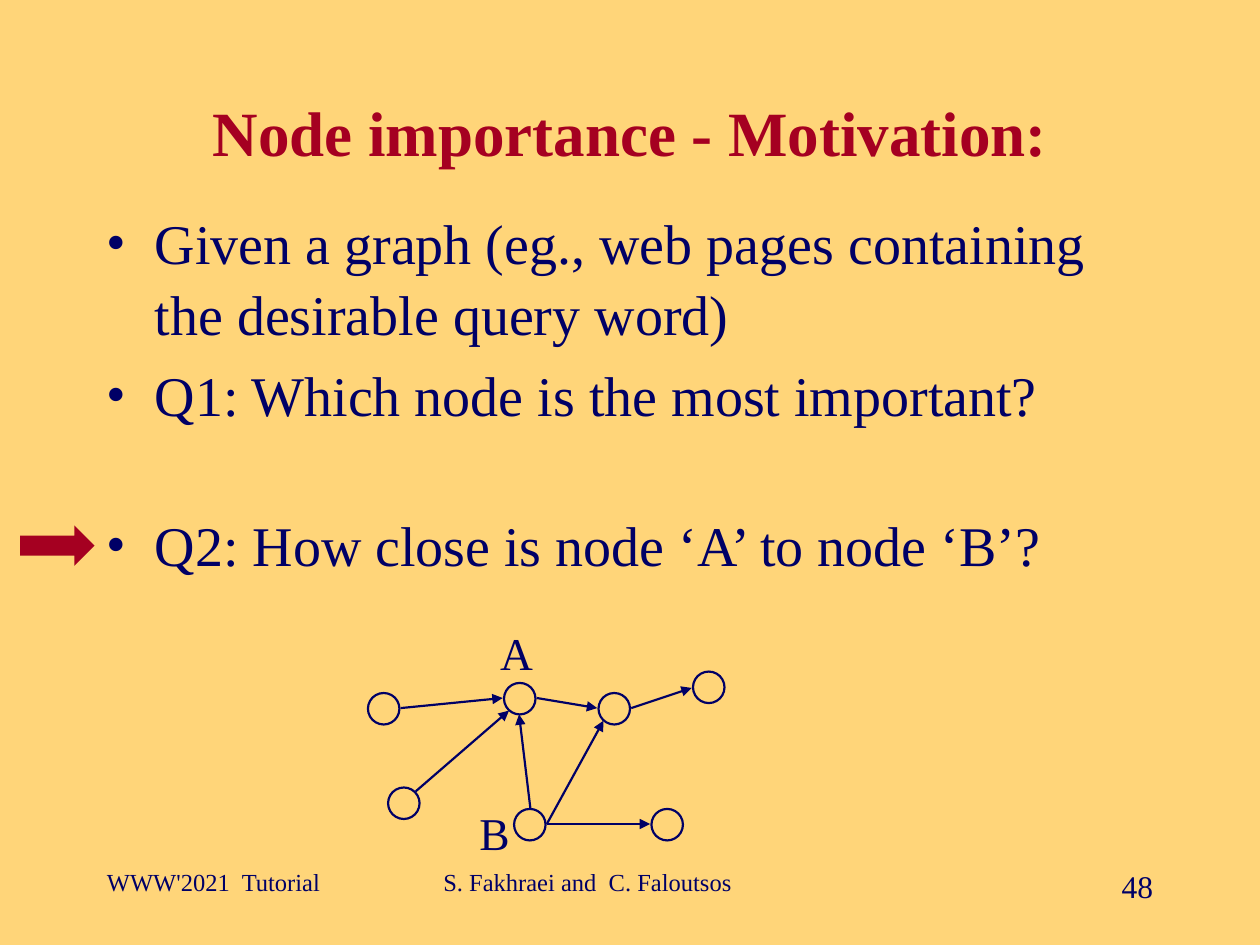
from typing import NamedTuple

from lxml.etree import SubElement
from pptx import Presentation
from pptx.dml.color import RGBColor
from pptx.enum.shapes import MSO_CONNECTOR, MSO_SHAPE
from pptx.enum.text import MSO_ANCHOR, PP_ALIGN
from pptx.oxml.ns import qn
from pptx.util import Inches, Pt

NAVY = RGBColor(0x00, 0x00, 0x66)
CRIMSON = RGBColor(0xA5, 0x00, 0x21)
SAND = RGBColor(0xFF, 0xD5, 0x79)
FONT = "Times New Roman"
NODE_SIZE = 0.25
LINE_WIDTH = Pt(1.25)


class Label(NamedTuple):
    text: str
    left: float
    top: float
    width: float
    height: float
    size: int
    align: PP_ALIGN = PP_ALIGN.LEFT
    wrap: bool = True


class Bullet(NamedTuple):
    text: str
    space_before: float


class Edge(NamedTuple):
    x1: float
    y1: float
    x2: float
    y2: float


LABELS = [
    Label("WWW'2021  Tutorial", 0.75, 6.83, 2.08, 0.5, 14),
    Label("S. Fakhraei and  C. Faloutsos", 3.42, 6.83, 3.17, 0.5, 14),
    Label("48", 7.17, 6.83, 2.08, 0.5, 18, PP_ALIGN.RIGHT),
    Label("A", 3.87, 4.91, 0.46, 0.54, 26, PP_ALIGN.CENTER, False),
    Label("B", 3.7, 6.34, 0.45, 0.54, 26, PP_ALIGN.CENTER, False),
]
BULLETS = [
    Bullet("Given a graph (eg., web pages containing the desirable query word)", 0),
    Bullet("Q1: Which node is the most important?", 6.4),
    Bullet("Q2: How close is node ‘A’ to node ‘B’?", 45.4),
]
NODES = [(3.08, 6.25), (4.75, 5.5), (4, 5.42), (5.17, 6.42),
         (5.5, 5.33), (4.08, 6.42), (2.92, 5.5)]
EDGES = [
    Edge(4.26, 5.54, 4.74, 5.62),
    Edge(4.34, 6.54, 4.79, 5.72),
    Edge(4.34, 6.54, 5.16, 6.54),
    Edge(5.01, 5.62, 5.49, 5.46),
    Edge(3.18, 5.62, 3.99, 5.54),
    Edge(3.3, 6.28, 4.04, 5.64),
    Edge(4.21, 6.42, 4.12, 5.67),
]


def format_font(font, size: int, color: RGBColor = NAVY, bold: bool = False) -> None:
    for name, value in {"name": FONT, "size": Pt(size), "bold": bold}.items():
        setattr(font, name, value)
    font.color.rgb = color


def add_title(slide, text: str) -> None:
    title = slide.shapes.title
    place = {"left": 0.75, "top": 0.67, "width": 8.5, "height": 0.75}
    for name, value in place.items():
        setattr(title, name, Inches(value))
    tf = title.text_frame
    tf.text = text
    tf.vertical_anchor = MSO_ANCHOR.MIDDLE
    p = tf.paragraphs[0]
    p.alignment = PP_ALIGN.CENTER
    format_font(p.runs[0].font, 36, CRIMSON, True)


def add_label(slide, label: Label) -> None:
    box = slide.shapes.add_textbox(*map(Inches, label[1:5]))
    tf = box.text_frame
    tf.word_wrap = label.wrap
    p = tf.paragraphs[0]
    p.alignment = label.align
    r = p.add_run()
    r.text = label.text
    format_font(r.font, label.size)


def add_bullets(slide, bullets: list[Bullet]) -> None:
    box = slide.shapes.add_textbox(Inches(0.75), Inches(1.58), Inches(8.5), Inches(5.08))
    tf = box.text_frame
    tf.word_wrap = True
    for i, bullet in enumerate(bullets):
        p = tf.paragraphs[0] if i == 0 else tf.add_paragraph()
        p.line_spacing = 1.05
        p.space_before = Pt(bullet.space_before)
        pPr = p._p.get_or_add_pPr()
        pPr.set("marL", str(Inches(0.38)))
        pPr.set("indent", str(Inches(-0.38)))
        SubElement(pPr, qn("a:buFont"), typeface=FONT)
        SubElement(pPr, qn("a:buChar"), char="•")
        r = p.add_run()
        r.text = bullet.text
        format_font(r.font, 32)


def add_node(slide, left: float, top: float) -> None:
    sp = slide.shapes.add_shape(MSO_SHAPE.OVAL, Inches(left), Inches(top),
                                Inches(NODE_SIZE), Inches(NODE_SIZE))
    sp.shadow.inherit = False
    sp.fill.background()
    sp.line.color.rgb = NAVY
    sp.line.width = LINE_WIDTH


def add_edge(slide, edge: Edge) -> None:
    cxn = slide.shapes.add_connector(MSO_CONNECTOR.STRAIGHT, *map(Inches, edge))
    cxn.line.color.rgb = NAVY
    cxn.line.width = LINE_WIDTH
    SubElement(cxn.line._get_or_add_ln(), qn("a:tailEnd"), type="triangle")
    SubElement(cxn._element.spPr, qn("a:effectLst"))


def add_pointer(slide) -> None:
    sp = slide.shapes.add_shape(MSO_SHAPE.RIGHT_ARROW, Inches(0.16), Inches(4.17),
                                Inches(0.59), Inches(0.32))
    sp.shadow.inherit = False
    sp.fill.solid()
    sp.fill.fore_color.rgb = CRIMSON
    sp.line.fill.background()


def main() -> None:
    prs = Presentation()
    prs.slide_width, prs.slide_height = Inches(10), Inches(7.5)
    slide = prs.slides.add_slide(prs.slide_layouts[5])
    fill = slide.background.fill
    fill.solid()
    fill.fore_color.rgb = SAND

    add_title(slide, "Node importance - Motivation:")
    add_bullets(slide, BULLETS)
    for left, top in NODES:
        add_node(slide, left, top)
    for edge in EDGES:
        add_edge(slide, edge)
    add_pointer(slide)
    for label in LABELS:
        add_label(slide, label)
    prs.save("out.pptx")


if __name__ == "__main__":
    main()
